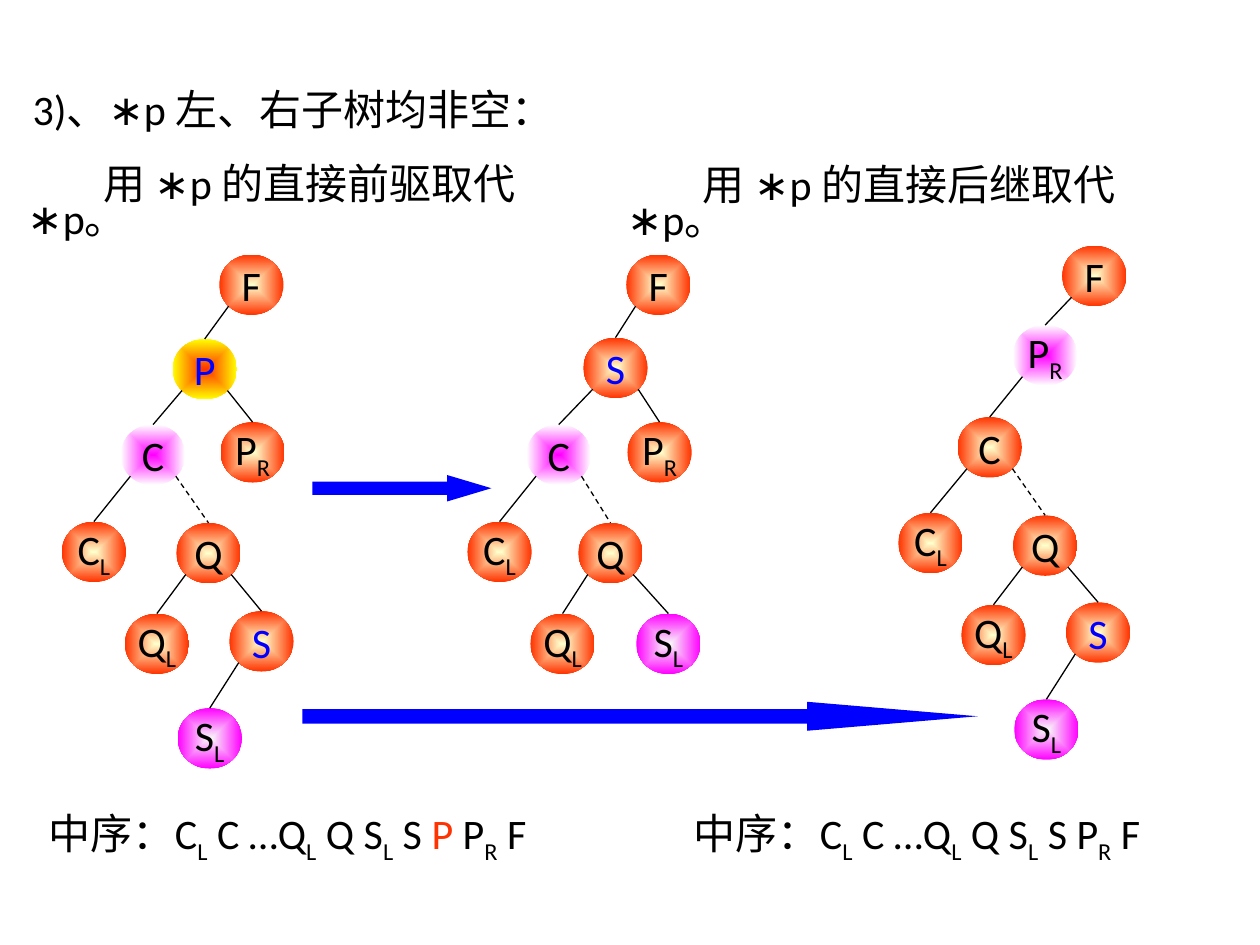
import pptx
import pptx.util
import pptx.dml.color
import pptx.enum.dml
import pptx.enum.shapes
import pptx.enum.text
import pptx.oxml
import pptx.oxml.ns

Inches = pptx.util.Inches
Pt = pptx.util.Pt
RGB = pptx.dml.color.RGBColor
KIND = pptx.enum.shapes.MSO_SHAPE
qn = pptx.oxml.ns.qn

BLACK = RGB(0x00, 0x00, 0x00)
BLUE = RGB(0x00, 0x00, 0xFF)
RED = RGB(0xFF, 0x33, 0x00)
CREAM = RGB(0xFF, 0xFF, 0xCC)
YELLOW = RGB(0xFF, 0xFF, 0x00)
PINK = RGB(0xFF, 0x00, 0xFF)
PALE = RGB(0xF8, 0xF8, 0xF8)
WHITE = RGB(0xFF, 0xFF, 0xFF)

# Node styles: centre colour, edge colour, text colour
PLAIN = (CREAM, RED, BLACK)
NEXT = (CREAM, RED, BLUE)
GONE = (RED, YELLOW, BLUE)
GLOW = (PINK, WHITE, BLACK)
LEAF = (PALE, PINK, BLACK)

# In text, "_" makes the next letter a subscript and "!" makes it red
# Captions: left, top, width, first-line indent, text
HEADS = [
    (0.08, 0.72, 4.41, 0.08, "3)、∗p 左、右子树均非空："),
    (0.12, 1.31, 4.83, 0.6, "用 ∗p 的直接前驱取代 ∗p。"),
    (4.88, 1.32, 4.83, 0.6, "用 ∗p 的直接后继取代 ∗p。"),
]
ORDERS = [
    (0.29, 4.15, "中序：C_L C …Q_L Q S_L S !P P_R F"),
    (5.41, 3.9, "中序：C_L C …Q_L Q S_L S P_R F"),
]

# Block arrows: left, top, width, height, head length ratio
ARROWS = [(2.48, 3.77, 1.42, 0.21, 1.672), (2.4, 5.57, 5.36, 0.23, 5.887)]

# Trees: nodes (label, left, top, style) and edges (parent, child)
TREES = [
    ([("F", 1.74, 2.02, PLAIN), ("P", 1.37, 2.69, GONE),
      ("C", 0.96, 3.37, GLOW), ("P_R", 1.75, 3.35, PLAIN),
      ("C_L", 0.49, 4.14, PLAIN), ("Q", 1.4, 4.15, PLAIN),
      ("Q_L", 0.99, 4.87, PLAIN), ("S", 1.82, 4.85, NEXT),
      ("S_L", 1.41, 5.62, LEAF)],
     [("F", "P"), ("P", "C"), ("P", "P_R"), ("C", "C_L"), ("C", "Q"),
      ("Q", "Q_L"), ("Q", "S"), ("S", "S_L")]),
    ([("F", 4.97, 2.02, PLAIN), ("S", 4.63, 2.68, NEXT),
      ("C", 4.18, 3.37, GLOW), ("P_R", 4.98, 3.35, PLAIN),
      ("C_L", 3.71, 4.14, PLAIN), ("Q", 4.59, 4.15, PLAIN),
      ("Q_L", 4.21, 4.87, PLAIN), ("S_L", 5.05, 4.87, LEAF)],
     [("F", "S"), ("S", "C"), ("S", "P_R"), ("C", "C_L"), ("C", "Q"),
      ("Q", "Q_L"), ("Q", "S_L")]),
    ([("F", 8.43, 1.95, PLAIN), ("P_R", 8.04, 2.58, GLOW),
      ("C", 7.6, 3.31, PLAIN), ("C_L", 7.13, 4.07, PLAIN),
      ("Q", 8.04, 4.09, PLAIN), ("Q_L", 7.63, 4.8, PLAIN),
      ("S", 8.46, 4.78, NEXT), ("S_L", 8.05, 5.55, LEAF)],
     [("F", "P_R"), ("P_R", "C"), ("C", "C_L"), ("C", "Q"),
      ("Q", "Q_L"), ("Q", "S"), ("S", "S_L")]),
]
DASHED = ("C", "Q")
NODE_W, NODE_H = 0.51, 0.48
DIAG = 0.5 ** 0.5


def split(text):
    """Cut marked text into (mark, piece) runs."""
    parts, mark = [], ""
    for char in text:
        if char in "_!":
            mark = char
        elif mark or not parts or parts[-1][0]:
            parts.append((mark, char))
            mark = ""
        else:
            parts[-1] = ("", parts[-1][1] + char)
    return parts


def write(shape, text, color=BLACK, wrap=False):
    frame = shape.text_frame
    frame.word_wrap = wrap
    para = frame.paragraphs[0]
    for mark, piece in split(text):
        run = para.add_run()
        run.text = piece
        if mark == "_":
            run._r.get_or_add_rPr().set("baseline", "-25000")
        elif mark == "!":
            run.font.color.rgb = RED
    para.font.size = Pt(24)
    para.font.name = "Calibri"
    para.font.color.rgb = color
    return para


def add_box(left, top, width, height):
    box = slide.shapes.add_textbox(*map(Inches, (left, top, width, height)))
    box.text_frame.auto_size = pptx.enum.text.MSO_AUTO_SIZE.SHAPE_TO_FIT_TEXT
    return box


def add_node(group, label, left, top, style):
    core, rim, ink = style
    node = group.shapes.add_shape(
        KIND.OVAL, *map(Inches, (left, top, NODE_W, NODE_H)))
    node.shadow.inherit = False
    node.line.fill.background()
    # Radial gradient from the centre to the rim
    node.fill.gradient()
    for stop, color in zip(node.fill.gradient_stops, (core, rim)):
        stop.color.rgb = color
    grad = node._element.spPr.find(qn("a:gradFill"))
    grad.remove(grad.find(qn("a:lin")))
    ray = grad.makeelement(qn("a:path"), {"path": "shape"})
    ray.append(ray.makeelement(
        qn("a:fillToRect"), dict.fromkeys("ltrb", "50000")))
    grad.append(ray)
    para = write(node, label, ink)
    para.alignment = pptx.enum.text.PP_ALIGN.CENTER
    node.text_frame.vertical_anchor = pptx.enum.text.MSO_ANCHOR.MIDDLE
    return node


def add_edge(group, start, end, dashed):
    """Join the lower diagonal of a parent to the top of its child."""
    side = 1 if end.left > start.left else -1
    x = start.left + start.width / 2 * (1 + side * DIAG)
    y = start.top + start.height / 2 * (1 + DIAG)
    edge = group.shapes.add_connector(
        pptx.enum.shapes.MSO_CONNECTOR.STRAIGHT, int(x), int(y),
        end.left + end.width // 2, end.top)
    edge.end_connect(end, 0)
    edge.line.color.rgb = BLACK
    edge.line.width = Pt(0.75)
    if dashed:
        edge.line.dash_style = pptx.enum.dml.MSO_LINE.DASH
    props = edge._element.spPr
    props.append(props.makeelement(qn("a:effectLst"), {}))


deck = pptx.Presentation()
deck.slide_width, deck.slide_height = Inches(10), Inches(7.5)
slide = deck.slides.add_slide(deck.slide_layouts[6])

# Captions and in-order sequences
for left, top, width, indent, text in HEADS:
    para = write(add_box(left, top, width, 0.4), text, wrap=True)
    para.line_spacing = 0.7
    para._p.get_or_add_pPr().set("indent", str(Inches(indent)))
for left, width, text in ORDERS:
    box = add_box(left, 6.39, width, 0.5)
    box.text_frame.vertical_anchor = pptx.enum.text.MSO_ANCHOR.MIDDLE
    write(box, text)

# Block arrows
for left, top, width, height, head in ARROWS:
    arrow = slide.shapes.add_shape(
        KIND.RIGHT_ARROW, *map(Inches, (left, top, width, height)))
    arrow.adjustments[1] = head
    arrow.shadow.inherit = False
    arrow.fill.solid()
    arrow.fill.fore_color.rgb = BLUE
    arrow.line.fill.background()

# Trees
for nodes, edges in TREES:
    group = slide.shapes.add_group_shape()
    made = {node[0]: add_node(group, *node) for node in nodes}
    for pair in edges:
        add_edge(group, made[pair[0]], made[pair[1]], pair == DASHED)

deck.save("out.pptx")
